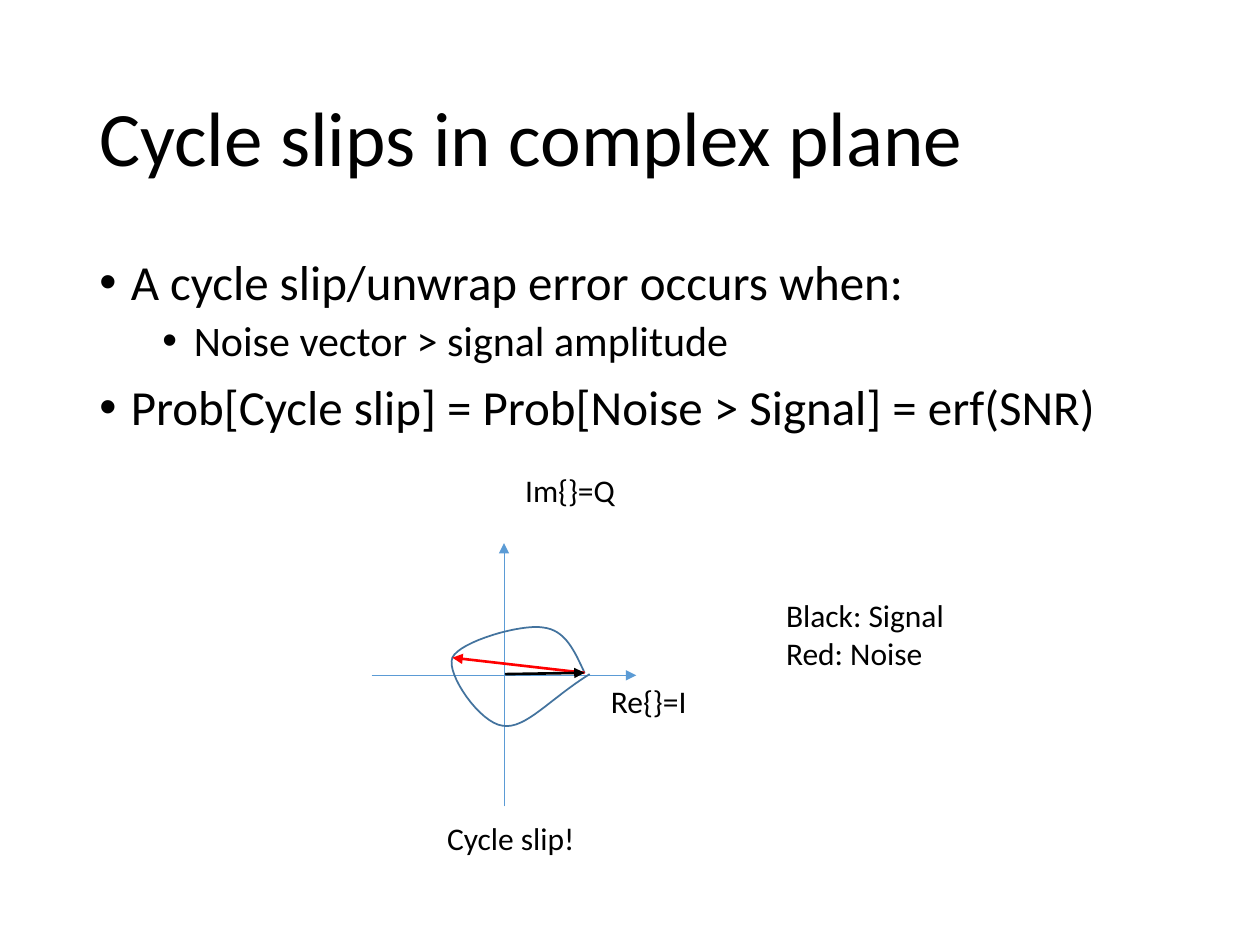
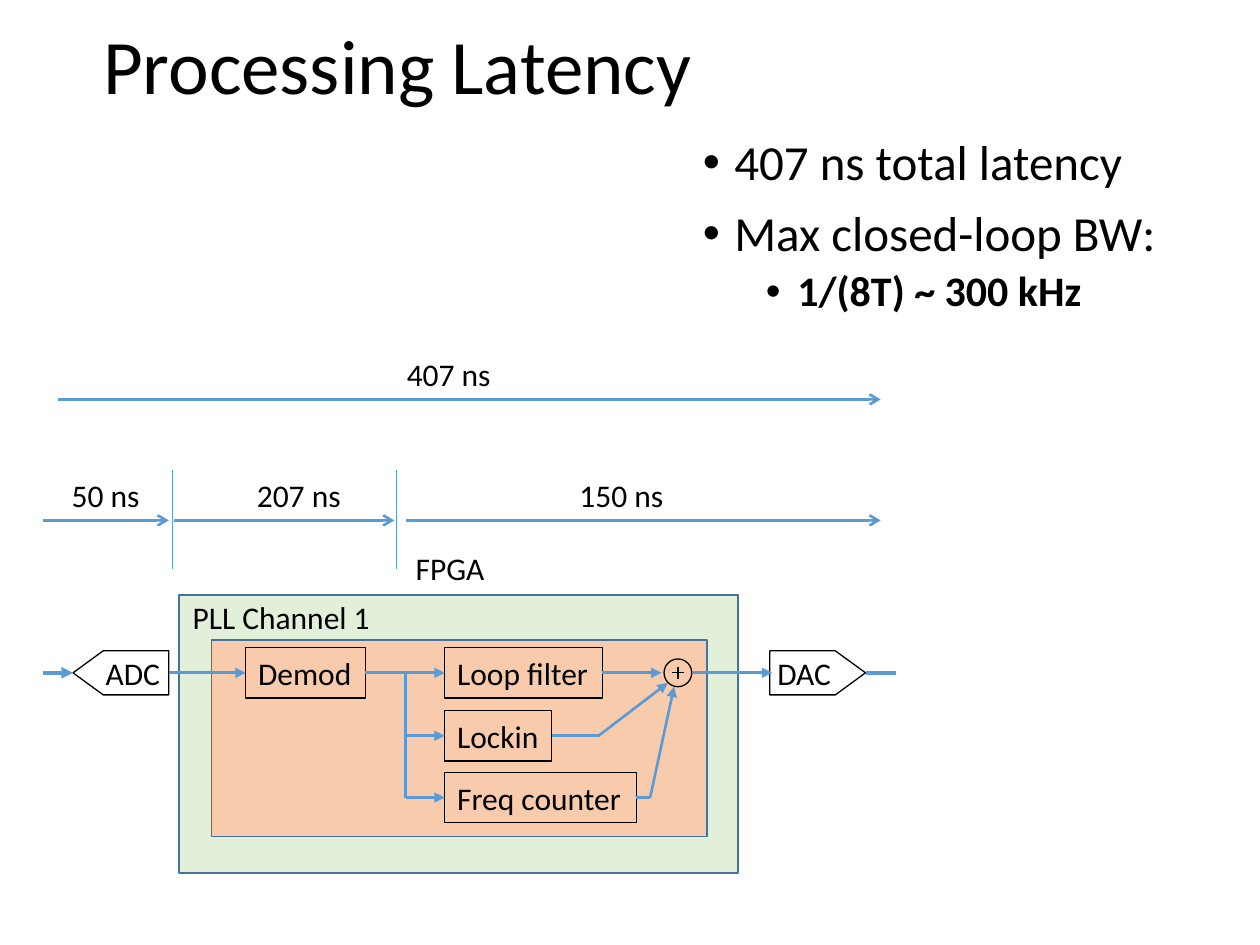
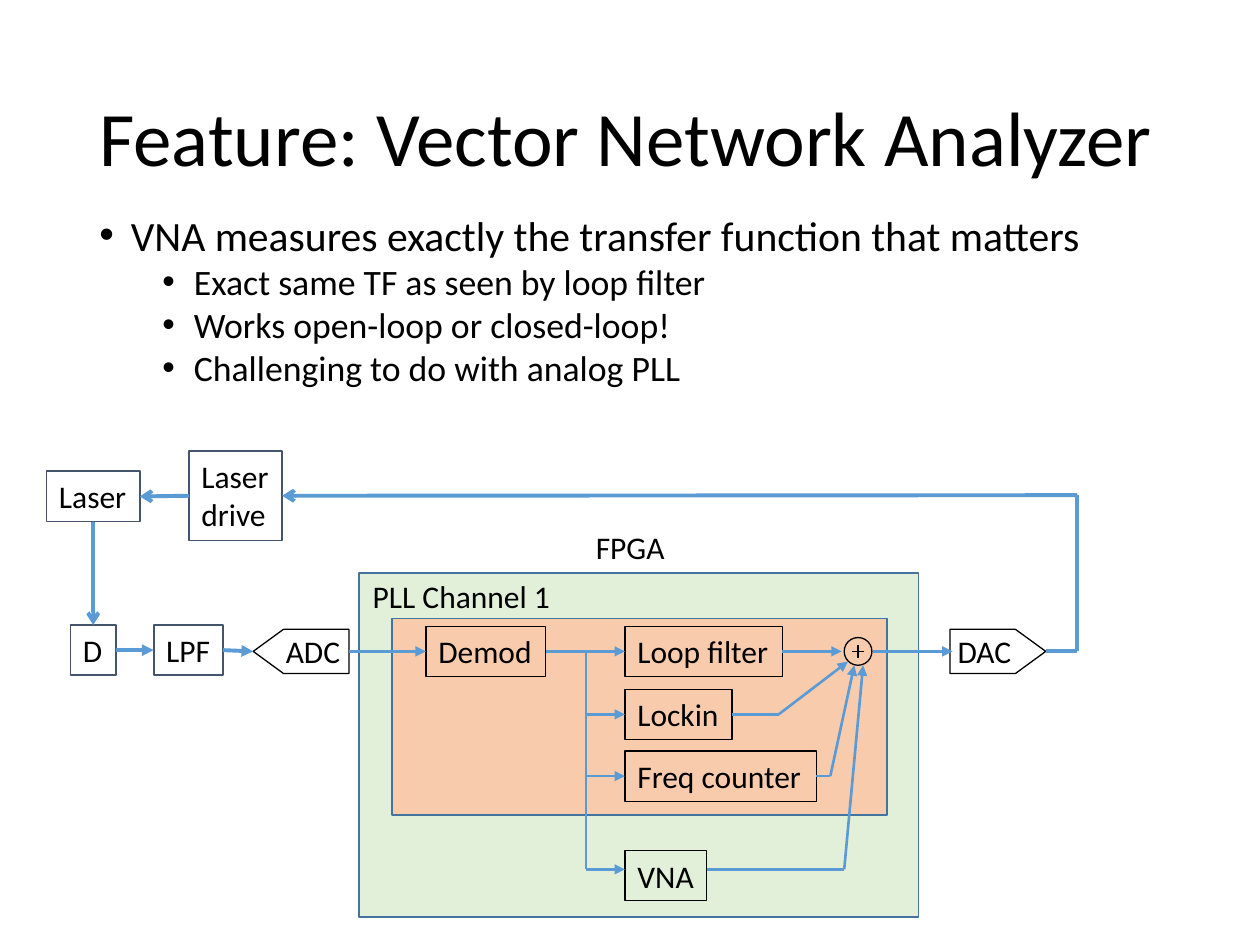
from lxml import etree
from pptx import Presentation
from pptx.dml.color import RGBColor
from pptx.enum import shapes, text
from pptx.oxml.ns import qn
from pptx.util import Inches, Pt

FONT = "Calibri"
BLACK, WHITE, RED = "000000", "FFFFFF", "FF0000"
BLUE, EDGE, SLATE = "5B9BD5", "43739E", "44546A"
GREEN, ORANGE = "E2F0D9", "F8CBAD"
TITLE_BOX = (0.69, 0.4, 8.62, 1.45)
ROW_H = 0.4    # height of a one-line label or block
SIGNAL_Y = 0.62    # signal path, below the top of the FPGA


def rgb(value):
    return RGBColor.from_string(value)


def add_bullet(p, level):
    pPr = p._p.get_or_add_pPr()
    pPr.set("marL", str(Inches(0.25 + 0.5 * level)))
    pPr.set("indent", str(Inches(-0.25)))
    etree.SubElement(pPr, qn("a:buFont")).set("typeface", "Arial")
    etree.SubElement(pPr, qn("a:buChar")).set("char", "•")


def write(p, words, size=18, bold=False, color=BLACK, spacing=None, before=None):
    p.alignment = text.PP_ALIGN.LEFT
    if spacing:
        p.line_spacing = spacing
    if before:
        p.space_before = Pt(before)
    r = p.add_run()
    r.text = words
    r.font.name, r.font.size, r.font.bold = FONT, Pt(size), bold
    r.font.color.rgb = rgb(color)


def fill_frame(tf, words, wrap=False, left=0.1, right=0.1):
    tf.word_wrap = wrap
    if not wrap:
        tf.auto_size = text.MSO_AUTO_SIZE.SHAPE_TO_FIT_TEXT
    tf.vertical_anchor = text.MSO_ANCHOR.TOP
    tf.margin_left, tf.margin_right = Inches(left), Inches(right)
    for i, words_line in enumerate(words.split("\n")):
        write(tf.add_paragraph() if i else tf.paragraphs[0], words_line)


def label(s, words, x, y, w, h=ROW_H, **fmt):
    sp = s.shapes.add_textbox(*map(Inches, (x, y, w, h)))
    fill_frame(sp.text_frame, words, **fmt)


def paint(sp, fill, edge, weight):
    sp.shadow.inherit = False
    if fill:
        sp.fill.solid()
        sp.fill.fore_color.rgb = rgb(fill)
    else:
        sp.fill.background()
    sp.line.color.rgb, sp.line.width = rgb(edge), Pt(weight)


def block(s, x, y, w, h=ROW_H, words="", fill=None, edge=BLACK, weight=0.75,
          kind=shapes.MSO_SHAPE.RECTANGLE):
    sp = s.shapes.add_shape(kind, *map(Inches, (x, y, w, h)))
    paint(sp, fill, edge, weight)
    if words:
        fill_frame(sp.text_frame, words)
    return sp


def outline(s, points, edge, weight, close):
    pts = [(Inches(x), Inches(y)) for x, y in points]
    builder = s.shapes.build_freeform(*pts[0], scale=1.0)
    builder.add_line_segments(pts[1:], close=close)
    paint(builder.convert_to_shape(), None, edge, weight)


def line(s, a, b, color=BLUE, weight=1.5, head=None, tail=None):
    """Each end is a point (x, y) or a joint (shape, side)."""
    joints = [hasattr(end[0], "shape_id") for end in (a, b)]
    ends = [(0, 0) if joint else end for joint, end in zip(joints, (a, b))]
    c = s.shapes.add_connector(shapes.MSO_CONNECTOR.STRAIGHT,
                               *(Inches(v) for end in ends for v in end))
    if joints[0]:
        c.begin_connect(*a)
    if joints[1]:
        c.end_connect(*b)
    c.line.color.rgb, c.line.width = rgb(color), Pt(weight)
    ln = c.line._get_or_add_ln()
    for tag, kind in (("a:headEnd", head), ("a:tailEnd", tail)):
        if kind:
            etree.SubElement(ln, qn(tag)).set("type", kind)
    etree.SubElement(c._element.spPr, qn("a:effectLst"))


def title(s, words, box=TITLE_BOX):
    tf = s.shapes.add_textbox(*map(Inches, box)).text_frame
    tf.word_wrap = True
    tf.vertical_anchor = text.MSO_ANCHOR.MIDDLE
    write(tf.paragraphs[0], words, size=44, spacing=0.9)


def bullets(s, box, items, sizes=(28, 24), spacing=0.9):
    """Items are (level, words) or (level, words, bold)."""
    tf = s.shapes.add_textbox(*map(Inches, box)).text_frame
    tf.word_wrap = True
    for i, (level, words, *bold) in enumerate(items):
        p = tf.add_paragraph() if i else tf.paragraphs[0]
        p.level = level
        add_bullet(p, level)
        write(p, words, size=sizes[level], bold=bool(bold), spacing=spacing,
              before=(10, 5)[level] if i else None)


def bezier(start, curves, steps=16):
    points = [start]
    for c1, c2, end in curves:
        p0 = points[-1]
        for t in (i / steps for i in range(1, steps + 1)):
            k = ((1 - t) ** 3, 3 * t * (1 - t) ** 2, 3 * t * t * (1 - t), t ** 3)
            points.append(tuple(sum(f * p[axis] for f, p in zip(k, (p0, c1, c2, end)))
                                for axis in (0, 1)))
    return points


def complex_plane(s, x, y):
    """Axes crossing at (x, y), with the path of the vector sum."""
    def at(dx, dy):
        return x + dx, y + dy

    line(s, at(0, 1.04), at(0, -1.05), weight=0.5, tail="triangle")
    line(s, at(-1.05, 0), at(1.05, 0), weight=0.5, tail="triangle")
    label(s, "Re{}=I", *at(0.75, 0), 1.81, 0.91, wrap=True)
    label(s, "Im{}=Q", *at(0.07, -1.67), 2.07, 0.91, wrap=True)
    tip, slip = (0.64, -0.02), (-0.41, -0.14)
    path = bezier(tip, [((0.56, -0.19), (0.49, -0.36), (0.31, -0.38)),
                        ((0.14, -0.41), (-0.35, -0.27), slip),
                        ((-0.46, -0.01), (-0.19, 0.38), (-0.01, 0.4)),
                        ((0.17, 0.43), (0.36, 0.19), (0.68, -0.01))])
    outline(s, [at(*p) for p in path], EDGE, 1, close=False)
    line(s, at(*tip), at(*slip), RED, tail="triangle")
    line(s, at(0.01, -0.01), at(*tip), BLACK, tail="triangle")
    label(s, "Cycle slip!", *at(-0.55, 1.09), 1.23)
    label(s, "Black: Signal\nRed: Noise", *at(2.14, -0.68), 1.47, 0.71)


def converter(s, words, x, mid, points_left):
    """ADC or DAC symbol, centred on the height mid."""
    width, nose, half = 0.76, 0.24, 0.175
    profile = [(0, -half), (width - nose, -half), (width, 0),
               (width - nose, half), (0, half)]
    outline(s, [(x + (width - dx if points_left else dx), mid + dy)
                for dx, dy in profile], BLACK, 0.75, close=True)
    if points_left:
        label(s, words, x + 0.16, mid - 0.2, 0.6, wrap=True, right=0)
    else:
        label(s, words, x, mid - 0.2, width, wrap=True, left=0.06)


def adder(s, x, y):
    block(s, x - 0.11, y - 0.11, 0.22, 0.22, kind=shapes.MSO_SHAPE.OVAL)
    line(s, (x, y - 0.05), (x, y + 0.05), BLACK, 0.75)
    line(s, (x + 0.05, y), (x - 0.05, y), BLACK, 0.75)


def fpga(s, x, y, h, vna=False):
    """PLL channel whose green box starts at (x, y), with its converters."""
    def at(dx, dy):
        return x + dx, y + dy

    block(s, x, y, 4.44, h, fill=GREEN, edge=EDGE, weight=1)
    block(s, *at(0.26, 0.36), 3.93, 1.56, fill=ORANGE, edge=EDGE, weight=1)
    label(s, "PLL Channel 1", *at(0.01, -0.02), 1.63)
    label(s, "FPGA", *at(1.78, -0.41), 0.75)
    converter(s, "ADC", *at(-0.84, SIGNAL_Y), points_left=True)
    converter(s, "DAC", *at(4.69, SIGNAL_Y), points_left=False)
    demod = block(s, *at(0.53, 0.42), 0.95, words="Demod")
    loop = block(s, *at(2.11, 0.42), 1.25, words="Loop filter")
    adder(s, *at(3.96, SIGNAL_Y))
    line(s, at(-0.08, SIGNAL_Y), (demod, 1), tail="triangle")
    line(s, (demod, 3), (loop, 1), tail="triangle")
    line(s, (loop, 3), at(3.83, SIGNAL_Y), tail="triangle")
    line(s, at(4.08, SIGNAL_Y), at(4.71, SIGNAL_Y), tail="triangle")

    # name, top, width, line height inside the block, bend, arrow tip
    branches = [("Lockin", 0.92, 0.85, 0.2, 3.33, (3.88, 0.7)),
                ("Freq counter", 1.41, 1.52, 0.2, 3.74, (3.93, 0.73))]
    if vna:
        branches.append(("VNA", 2.2, 0.65, 0.15, 3.85, (4, 0.73)))
    bus = 1.8
    for words, top, w, port, bend, tip in branches:
        level = top + port
        sp = block(s, *at(2.11, top), w, words=words)
        centred = port == ROW_H / 2
        entry = (sp, 1) if centred else at(2.11, level)
        leave = (sp, 3) if centred else at(2.11 + w, level)
        line(s, at(bus, level), entry, tail="triangle")
        line(s, leave, at(bend, level))
        line(s, at(bend, level), at(*tip), tail="triangle")
    line(s, at(bus, SIGNAL_Y), at(bus, level))


def latency_spans(s, x, y):
    """Time arrows; (x, y) is the start of the lower row."""
    for words, start, end, text_x, w, dy in (
            ("407 ns", 0.12, 6.65, 2.79, 0.88, -0.96),
            ("50 ns", 0, 1, 0.13, 0.75, 0),
            ("207 ns", 1.04, 2.79, 1.6, 0.88, 0),
            ("150 ns", 2.88, 6.65, 4.16, 0.88, 0)):
        label(s, words, x + text_x, y + dy - 0.4, w)
        line(s, (x + start, y + dy), (x + end, y + dy), tail="arrow")
    for dx in (1.03, 2.81):
        line(s, (x + dx, y - 0.4), (x + dx, y + 0.39), weight=0.5)


def laser_loop(s, x, y):
    """Laser, detector and filter; (x, y) is the corner of the laser block."""
    def part(words, dx, dy, w, h=ROW_H):
        return block(s, x + dx, y + dy, w, h, words, WHITE, SLATE, 1)

    laser = part("Laser", 0, 0, 0.74)
    drive = part("Laser\ndrive", 1.13, -0.16, 0.74, 0.71)
    detector = part("D", 0.19, 1.22, 0.36)
    lpf = part("LPF", 0.85, 1.22, 0.55)
    mid, right = y + 1.43, x + 8.18
    line(s, (laser, 2), (detector, 0), weight=2.25, tail="arrow")
    line(s, (detector, 3), (lpf, 1), weight=2.25, tail="triangle")
    line(s, (lpf, 3), (x + 1.64, mid), weight=2.25, tail="triangle")
    line(s, (laser, 3), (drive, 1), weight=2.25, head="arrow")
    line(s, (drive, 3), (right, y + 0.19), weight=2.25, head="arrow")
    line(s, (right, y + 0.19), (right, mid), weight=2.25)
    line(s, (x + 7.93, mid), (right, mid), weight=2.25)


def cycle_slip_slide(s):
    title(s, "Cycle slips in complex plane")
    bullets(s, (0.69, 2, 8.62, 2.64), [
        (0, "A cycle slip/unwrap error occurs when:"),
        (1, "Noise vector > signal amplitude"),
        (0, "Prob[Cycle slip] = Prob[Noise > Signal] = erf(SNR)")])
    complex_plane(s, 4, 5.36)


def latency_slide(s):
    title(s, "Processing Latency", (0.72, 0.15, 8.62, 0.8))
    bullets(s, (5.48, 1.05, 4.09, 1.8), [
        (0, "407 ns total latency"),
        (0, "Max closed-loop BW:"),
        (1, "1/(8T) ~ 300 kHz", True)])
    fpga(s, 1.42, 4.72, 2.21)
    line(s, (0.34, 5.34), (0.58, 5.34), weight=2.25, tail="triangle")
    line(s, (6.87, 5.34), (7.11, 5.34), weight=2.25)
    latency_spans(s, 0.34, 4.13)


def analyzer_slide(s):
    title(s, "Feature: Vector Network Analyzer")
    bullets(s, (0.69, 1.69, 8.62, 1.49), [
        (0, "VNA measures exactly the transfer function that matters"),
        (1, "Exact same TF as seen by loop filter"),
        (1, "Works open-loop or closed-loop!"),
        (1, "Challenging to do with analog PLL")], (23.8, 20.4), 0.8)
    fpga(s, 2.85, 4.55, 2.73, vna=True)
    laser_loop(s, 0.37, 3.74)


def main():
    prs = Presentation()
    prs.slide_width, prs.slide_height = Inches(10), Inches(7.5)
    for build in (cycle_slip_slide, latency_slide, analyzer_slide):
        build(prs.slides.add_slide(prs.slide_layouts[6]))
    prs.save("out.pptx")


if __name__ == "__main__":
    main()
